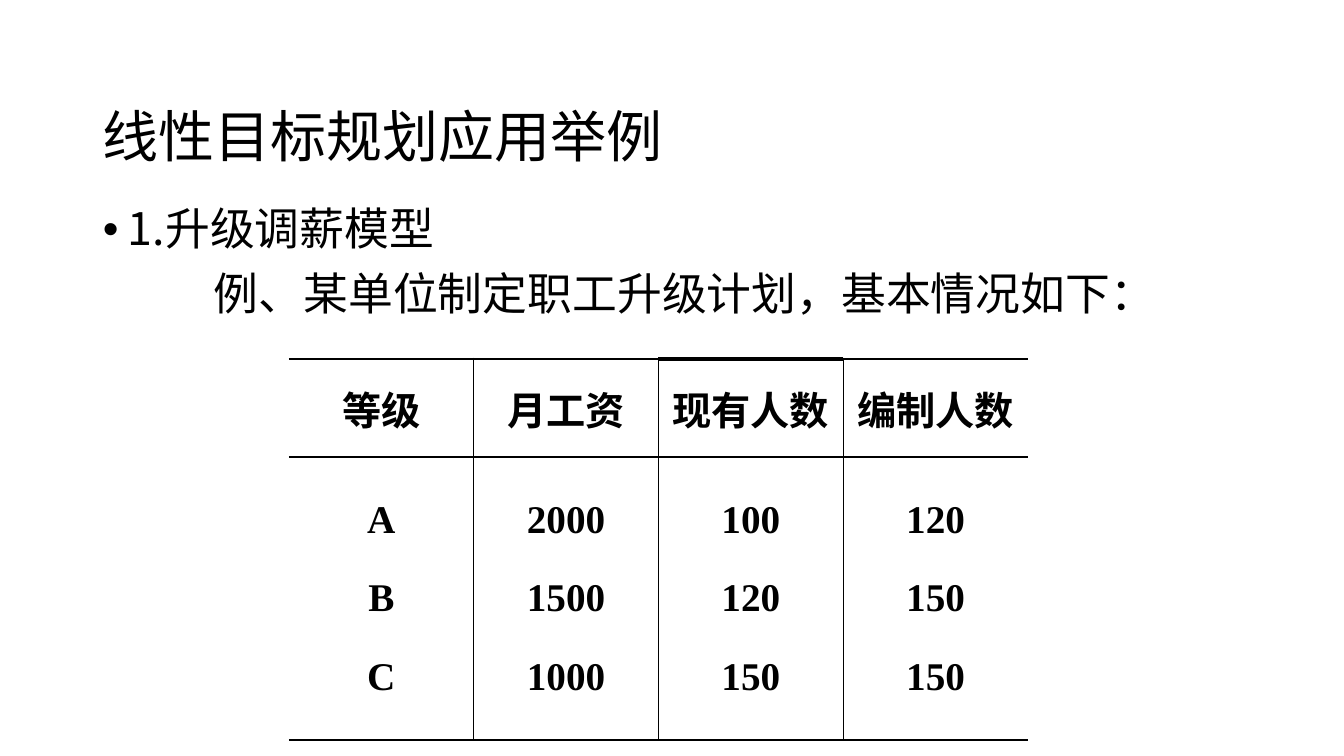
from lxml import etree
from pptx import Presentation
from pptx.dml.color import RGBColor
from pptx.enum.shapes import MSO_CONNECTOR
from pptx.enum.text import MSO_ANCHOR, PP_ALIGN
from pptx.oxml.ns import qn
from pptx.util import Pt

EMU_PER_PX = 914400 / 100.8
STRAIGHT = MSO_CONNECTOR.STRAIGHT
TOP, MIDDLE = MSO_ANCHOR.TOP, MSO_ANCHOR.MIDDLE
CENTER = PP_ALIGN.CENTER
COLORS = {"ink": "000000", "background": "FFFFFF"}
SANS_SC, SANS_JP, SERIF = "Noto Sans CJK SC", "Noto Sans CJK JP", "Times New Roman"
GRADES = [
    ("等级", "A", "B", "C"),
    ("月工资", "2000", "1500", "1000"),
    ("现有人数", "100", "120", "150"),
    ("编制人数", "120", "150", "150"),
]


def px(length):
    return round(length * EMU_PER_PX)


def color(name):
    return RGBColor.from_string(COLORS[name])


def add_run(paragraph, text, size, font, east_asian_font=None, bold=False):
    run = paragraph.add_run()
    run.text = text
    run.font.size = Pt(size)
    run.font.name = font
    run.font.bold = bold
    run.font.color.rgb = color("ink")
    east_asian = etree.SubElement(run.font._element, qn("a:ea"))
    east_asian.set("typeface", east_asian_font or font)


def add_text(slide, box, text, size, font, anchor=TOP, line_spacing=None):
    """Add a one-paragraph text box and return its paragraph."""
    frame = slide.shapes.add_textbox(*map(px, box)).text_frame
    frame.word_wrap = True
    frame.margin_right = 0
    frame.vertical_anchor = anchor
    paragraph = frame.paragraphs[0]
    paragraph.line_spacing = line_spacing
    add_run(paragraph, text, size, font)
    return paragraph


def add_bullet(paragraph, indent):
    properties = paragraph._p.get_or_add_pPr()
    properties.set("marL", str(px(indent)))
    properties.set("indent", str(-px(indent)))
    etree.SubElement(properties, qn("a:buFont")).set("typeface", "Arial")
    etree.SubElement(properties, qn("a:buChar")).set("char", "•")


def set_spacing(paragraph, before, after):
    """Set the space around a paragraph in percent of its line."""
    properties = paragraph._p.get_or_add_pPr()
    for tag, percent in (("a:spcBef", before), ("a:spcAft", after)):
        spacing = etree.SubElement(properties, qn(tag))
        etree.SubElement(spacing, qn("a:spcPct")).set("val", str(percent * 1000))


def set_borders(cell, **widths):
    """Draw the given sides in points; a width of 0 hides the side."""
    properties = cell._tc.get_or_add_tcPr()
    sides = ("left", "right", "top", "bottom")
    for index, side in enumerate(sides):
        width = widths[side]
        line = etree.Element(qn(f"a:ln{side[0].upper()}"), w=str(Pt(width)))
        if width:
            fill = etree.SubElement(line, qn("a:solidFill"))
            etree.SubElement(fill, qn("a:srgbClr")).set("val", COLORS["ink"])
        else:
            etree.SubElement(line, qn("a:noFill"))
        properties.insert(index, line)


def fill_cell(cell, lines, space_after):
    cell.fill.background()
    cell.vertical_anchor = MIDDLE
    for index, text in enumerate(lines):
        frame = cell.text_frame
        paragraph = frame.add_paragraph() if index else frame.paragraphs[0]
        paragraph.alignment = CENTER
        set_spacing(paragraph, 20, space_after)
        add_run(paragraph, text, 28, SERIF, SANS_SC, bold=True)


def add_grade_table(slide, box, header_height):
    left, top, width, height = box
    column_width = width / len(GRADES)
    table = slide.shapes.add_table(2, len(GRADES), *map(px, box)).table
    table.first_row = table.horz_banding = False
    table.rows[0].height = px(header_height)
    table.rows[1].height = px(height - header_height)
    for index, (heading, *values) in enumerate(GRADES):
        table.columns[index].width = px(column_width)
        header, body = table.cell(0, index), table.cell(1, index)
        fill_cell(header, [heading], 0)
        fill_cell(body, values, 70)
        sides = {"left": int(index > 0), "right": int(index < len(GRADES) - 1)}
        set_borders(header, top=2.25, bottom=1, **sides)
        set_borders(body, top=1, bottom=2.25, **sides)

    middle = left + 2 * column_width
    rule = slide.shapes.add_connector(
        STRAIGHT, px(middle + column_width), px(top), px(middle), px(top))
    rule.line.color.rgb = color("ink")
    rule.line.width = Pt(2.75)
    etree.SubElement(rule._element.spPr, qn("a:effectLst"))


def add_heading(slide, box):
    add_text(slide, box, "线性目标规划应用举例", 40, SANS_SC, MIDDLE, 0.9)


def add_introduction(slide, box):
    left, top, width, height = box
    topic = add_text(slide, box, "1.升级调薪模型", 32, SANS_JP, line_spacing=0.9)
    topic.space_before = Pt(10)
    add_bullet(topic, 25)
    add_text(slide, (left + 111, top + 59, 952, 64),
             "例、某单位制定职工升级计划，基本情况如下：", 32, SANS_JP)


def main():
    presentation = Presentation()
    presentation.slide_width, presentation.slide_height = px(1344), px(756)
    slide = presentation.slides.add_slide(presentation.slide_layouts[6])
    slide.background.fill.solid()
    slide.background.fill.fore_color.rgb = color("background")
    add_heading(slide, (93, 92, 1159, 94))
    add_introduction(slide, (93, 202, 1159, 480))
    add_grade_table(slide, (289, 359, 739, 381), 98)
    presentation.save("out.pptx")


if __name__ == "__main__":
    main()
